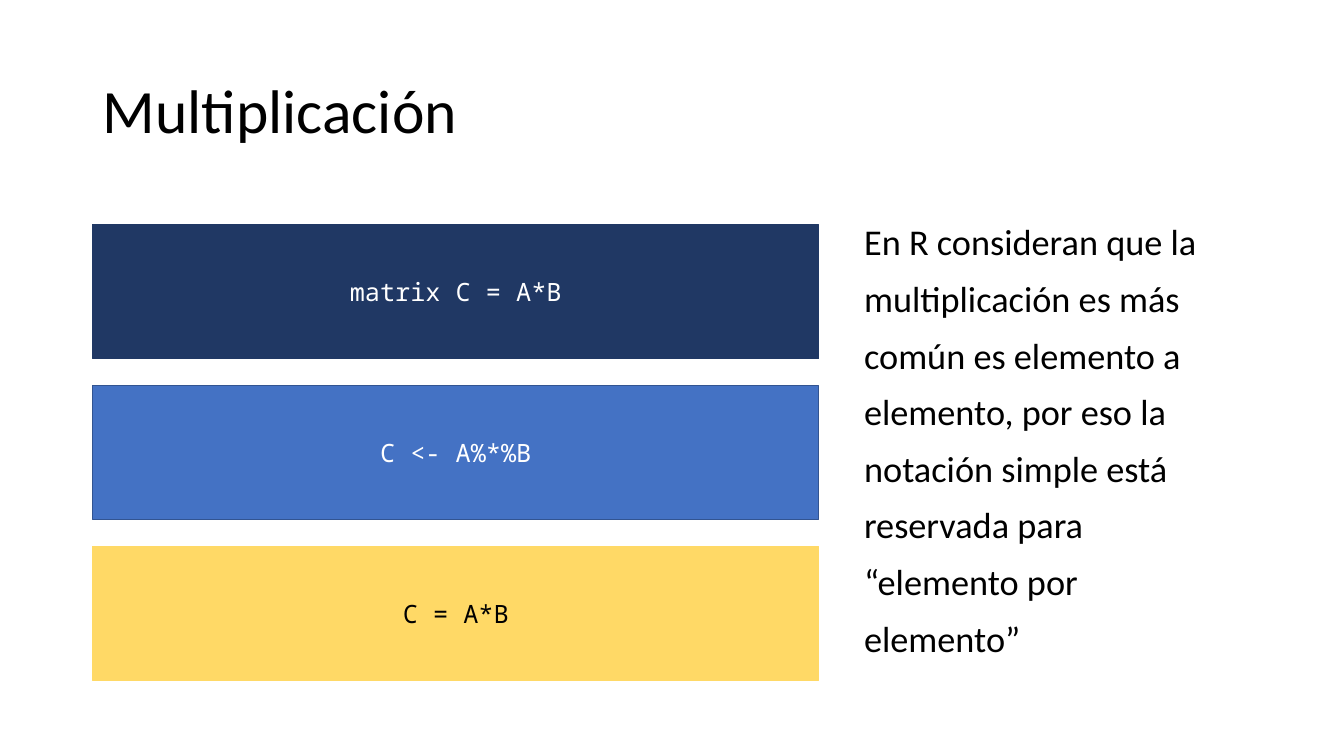
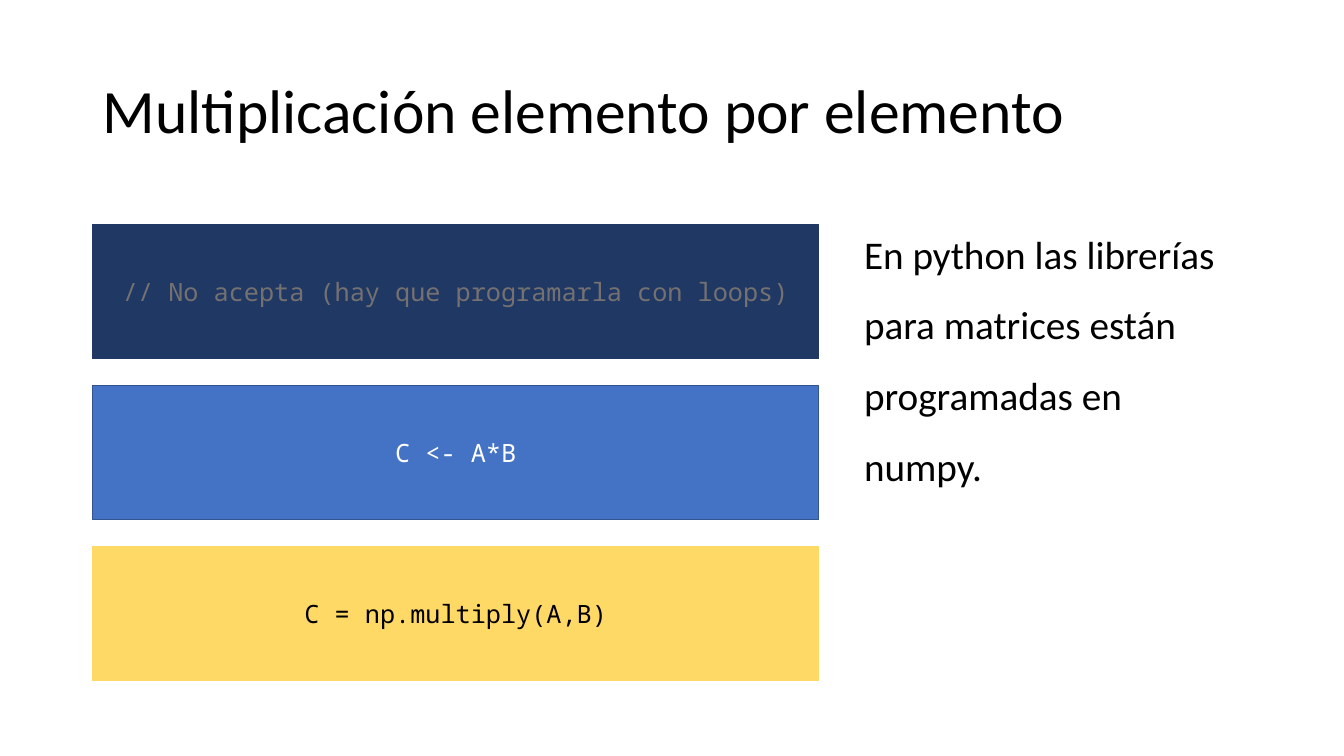
from pptx import Presentation
from pptx.dml.color import RGBColor
from pptx.enum.shapes import MSO_SHAPE
from pptx.enum.text import MSO_ANCHOR, MSO_AUTO_SIZE, PP_ALIGN
from pptx.oxml.ns import qn
from pptx.util import Inches, Pt

RECT = MSO_SHAPE.RECTANGLE
TOP, MIDDLE = MSO_ANCHOR.TOP, MSO_ANCHOR.MIDDLE
LEFT, CENTER = PP_ALIGN.LEFT, PP_ALIGN.CENTER
FIXED = MSO_AUTO_SIZE.NONE

BLACK = RGBColor(0x00, 0x00, 0x00)
WHITE = RGBColor(0xFF, 0xFF, 0xFF)
GRAY = RGBColor(0x76, 0x71, 0x71)
NAVY = RGBColor(0x20, 0x38, 0x64)
BLUE = RGBColor(0x44, 0x72, 0xC4)
EDGE = RGBColor(0x32, 0x54, 0x91)
GOLD = RGBColor(0xFF, 0xD9, 0x66)

SANS, MONO = "Calibri", "Noto Sans Mono"
MARGIN = 0.92
BAR_TOP, BAR_STEP = 2.23, 1.595
# Fill and line of the bars, from top to bottom
BARS = [(NAVY, NAVY), (BLUE, EDGE), (GOLD, GOLD)]

# Title, code lines with their colours, note with its size and spacing
SLIDES = [
    ("Multiplicación",
     [("matrix C = A*B", WHITE), ("C <- A%*%B", WHITE), ("C = A*B", BLACK)],
     ("En R consideran que la multiplicación es más común es elemento a "
      "elemento, por eso la notación simple está reservada para "
      "“elemento por elemento”", 25.9, 1.3)),
    ("Multiplicación elemento por elemento",
     [("// No acepta (hay que programarla con loops)", GRAY),
      ("C <- A*B", WHITE), ("C = np.multiply(A,B)", BLACK)],
     ("En python las librerías para matrices están programadas en numpy.",
      28, 1.5)),
]


def place(shape, left, top, width, height):
    shape.left, shape.top = Inches(left), Inches(top)
    shape.width, shape.height = Inches(width), Inches(height)


def write(shape, text, size, font, color, align, anchor):
    """Fill the shape with one formatted run and return its paragraph."""
    frame = shape.text_frame
    frame.word_wrap = True
    frame.auto_size = FIXED
    frame.vertical_anchor = anchor
    para = frame.paragraphs[0]
    para.alignment = align
    run = para.add_run()
    run.text = text
    run.font.size = Pt(size)
    run.font.name = font
    run.font.color.rgb = color
    return para


def add_title(slide, text):
    title = slide.shapes.title
    place(title, MARGIN, 0.4, 11.5, 1.45)
    para = write(title, text, 44, SANS, BLACK, LEFT, MIDDLE)
    para.line_spacing = 0.9


def add_note(slide, text, size, spacing):
    body = slide.placeholders[1]
    place(body, 8.47, 2, 3.95, 4.76)
    para = write(body, text, size, SANS, BLACK, LEFT, TOP)
    para.line_spacing = spacing
    para.space_before = Pt(10)
    # Plain text: no bullet, no indent
    props = para._p.get_or_add_pPr()
    props.set("marL", "0")
    props.set("indent", "0")
    props.append(props.makeelement(qn("a:buNone"), {}))


def add_bar(slide, row, text, color):
    fill, line = BARS[row]
    bar = slide.shapes.add_shape(
        RECT, Inches(MARGIN), Inches(BAR_TOP + row * BAR_STEP),
        Inches(7.2), Inches(1.33))
    bar.shadow.inherit = False
    bar.fill.solid()
    bar.fill.fore_color.rgb = fill
    bar.line.color.rgb = line
    bar.line.width = Pt(1)
    write(bar, text, 18, MONO, color, CENTER, MIDDLE)


def main():
    deck = Presentation()
    deck.slide_width, deck.slide_height = Inches(13.33), Inches(7.5)
    for title, codes, note in SLIDES:
        slide = deck.slides.add_slide(deck.slide_layouts[1])
        add_title(slide, title)
        add_note(slide, *note)
        for row, (text, color) in enumerate(codes):
            add_bar(slide, row, text, color)
    deck.save("out.pptx")


main()
